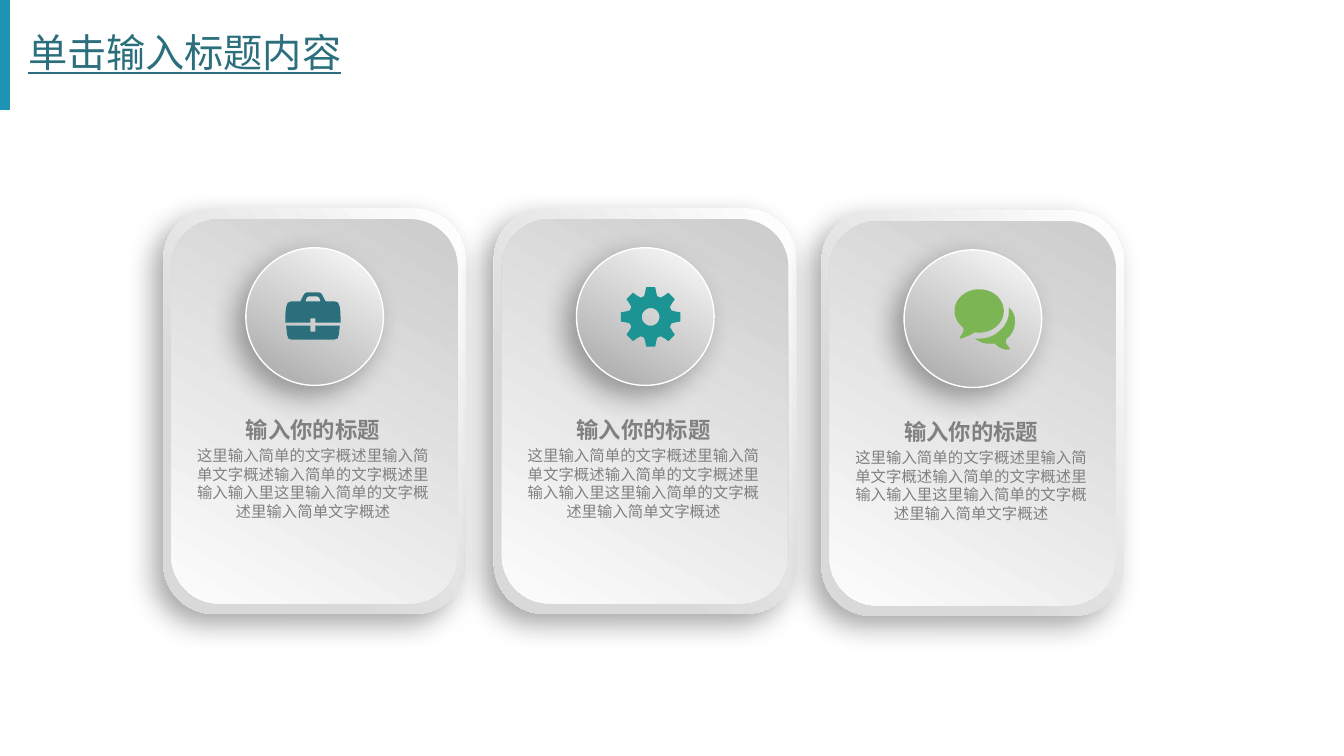
from math import cos, pi, radians, sin

from lxml.etree import SubElement
from pptx import Presentation
from pptx.dml.color import RGBColor
from pptx.enum.shapes import MSO_SHAPE
from pptx.enum.text import MSO_ANCHOR, PP_ALIGN
from pptx.oxml.ns import qn
from pptx.util import Pt

COLORS = {
    "bar": "1D94B4", "title": "2B6F7D", "text": "808080", "white": "FFFFFF",
    "briefcase": "2B6F7D", "gear": "1C9494", "bubbles": "7CB554",
    "rim": "D9D9D9", "panel": "CCCCCC", "pale": "FCFCFC", "disc": "A6A6A6",
    "shadow": "000000",
}
RIM = [(0, "rim"), (1, "white"), (70, "rim")]
PANEL = [(0, "panel"), (100, "pale")]
DISC = [(0, "disc"), (100, "pale")]

HEADING = "输入你的标题"
BODY = ("这里输入简单的文字概述里输入简单文字概述输入简单的文字概述里"
        "输入输入里这里输入简单的文字概述里输入简单文字概述")


class SlideBuilder:
    latin_font = "Montserrat"
    chinese_font = "Noto Sans CJK SC"

    def __init__(self, page):
        self.page = page

    def color(self, name):
        return RGBColor.from_string(COLORS[name])

    def shape(self, kind, left, top, width, height, fill=None):
        shape = self.page.shapes.add_shape(
            kind, Pt(left), Pt(top), Pt(width), Pt(height))
        return self.plain(shape, fill)

    def plain(self, shape, fill):
        shape.shadow.inherit = False
        shape.line.fill.background()
        if fill:
            shape.fill.solid()
            shape.fill.fore_color.rgb = self.color(fill)
        return shape

    def gradient(self, shape, stops, angle):
        shape.fill.gradient()
        gradient = shape.element.spPr.find(qn("a:gradFill"))
        for child in list(gradient):
            gradient.remove(child)
        stop_list = SubElement(gradient, qn("a:gsLst"))
        for position, name in stops:
            stop = SubElement(stop_list, qn("a:gs"), pos=str(position * 1000))
            SubElement(stop, qn("a:srgbClr"), val=COLORS[name])
        SubElement(gradient, qn("a:lin"), ang=str(angle * 60000), scaled="0")

    def soft_shadow(self, shape):
        effects = shape.element.spPr.find(qn("a:effectLst"))
        shadow = SubElement(
            effects, qn("a:outerShdw"), blurRad=str(Pt(20)), dist=str(Pt(10)),
            dir=str(136 * 60000), algn="ctr", rotWithShape="0")
        tint = SubElement(shadow, qn("a:srgbClr"), val=COLORS["shadow"])
        SubElement(tint, qn("a:alpha"), val="34000")

    def outline(self, left, top, contours, fill):
        contours = [[(Pt(left + x), Pt(top + y)) for x, y in contour]
                    for contour in contours]
        builder = self.page.shapes.build_freeform(*contours[0][0], scale=1.0)
        builder.add_line_segments(contours[0][1:], close=True)
        for contour in contours[1:]:
            builder.move_to(*contour[0])
            builder.add_line_segments(contour[1:], close=True)
        self.plain(builder.convert_to_shape(), fill)

    def text_box(self, left, top, width, height, inset_x, inset_y):
        box = self.page.shapes.add_textbox(
            Pt(left), Pt(top), Pt(width), Pt(height))
        frame = box.text_frame
        frame.word_wrap = True
        frame.margin_left = frame.margin_right = Pt(inset_x)
        frame.margin_top = frame.margin_bottom = Pt(inset_y)
        return frame

    def span(self, para, text, size, color, font, bold=False, underline=False):
        span = para.add_run()
        span.text = text
        span.font.size = Pt(size)
        span.font.bold = bold
        span.font.underline = underline
        span.font.color.rgb = self.color(color)
        span.font.name = font
        SubElement(span.font._element, qn("a:ea"), typeface=self.chinese_font)

    def title(self, text):
        frame = self.text_box(12.96, 14.4, 828, 48.96, 7.2, 3.6)
        frame.vertical_anchor = MSO_ANCHOR.MIDDLE
        para = frame.paragraphs[0]
        para.line_spacing = 0.9
        self.span(para, text, 28, "title", self.latin_font, underline=True)

    def card(self, left, top):
        rim = self.shape(MSO_SHAPE.ROUNDED_RECTANGLE, left, top, 216, 289.5)
        self.gradient(rim, RIM, 140)
        self.soft_shadow(rim)
        panel = self.shape(MSO_SHAPE.ROUNDED_RECTANGLE,
                           left + 5.76, top + 7.6, 204.5, 274.5)
        self.gradient(panel, PANEL, 120)
        disc = self.shape(MSO_SHAPE.OVAL, left + 59, top + 28, 98.3, 98.3)
        self.gradient(disc, DISC, 300)
        disc.line.color.rgb = self.color("white")
        disc.line.width = Pt(1)
        self.soft_shadow(disc)

        frame = self.text_box(left + 11.5, top + 143.3, 190.8, 94.3, 9.4, 5)
        heading = frame.paragraphs[0]
        body = frame.add_paragraph()
        body.space_before = Pt(2.2)
        heading.alignment = body.alignment = PP_ALIGN.CENTER
        font = self.chinese_font
        self.span(heading, HEADING, 16, "text", font, bold=True)
        self.span(body, BODY, 11, "text", font)


def mirrored(half, axis):
    return half + [(2 * axis - x, y) for x, y in reversed(half)]


def arc(center_x, center_y, radius_x, radius_y, start, end, step=6):
    return [(center_x + radius_x * cos(radians(angle)),
             center_y + radius_y * sin(radians(angle)))
            for angle in range(start, end + 1, step)]


def briefcase():
    lid = [(21.6, 18.7), (21.6, 21.6), (39.6, 21.6), (39.4, 14), (38.9, 10.3),
           (37.8, 7.4), (35.3, 6.5), (28.8, 6.5), (26.6, 2.2), (25.5, 0.6),
           (23.8, 0)]
    handle = [(25.2, 6.5), (24.5, 4.3), (23.8, 3.3), (22.3, 2.9)]
    base = [(21.6, 28.1), (21.6, 23.8), (39, 23.8), (38.3, 30.2), (37.4, 33),
            (34.6, 33.9)]
    return [mirrored(half, 19.8) for half in (lid, handle, base)]


def gear(teeth=8):
    half = [(14.8, -4.7), (18, -3.8), (20.8, -3.4), (21.2, -3)]
    tooth = half + [(x, -y) for x, y in reversed(half)]
    rim = []
    for turn in (2 * pi * number / teeth for number in range(teeth)):
        rim += [(x * cos(turn) - y * sin(turn), x * sin(turn) + y * cos(turn))
                for x, y in tooth]
    return [rim, arc(0, 0, 6.3, 6.3, 0, 354)]


def bubbles():
    front = arc(17.6, 15.5, 17.6, 15.5, 130, 460) + [
        (11, 32.8), (6.5, 34.6), (4.3, 35.3), (3.6, 34.6), (5.4, 32),
        (6.5, 29.5)]
    back = [(38.9, 13), (41, 15.3), (42.5, 18), (43.2, 20.8), (43.2, 23.8),
            (42.8, 27), (41.6, 30.2), (39.5, 33.4), (36.7, 36), (36.7, 38.2),
            (37.4, 39.6), (39.2, 41.8), (39.6, 42.5), (38.9, 43.2),
            (36.7, 43.2), (32.4, 41.8), (28.8, 38.9), (25.9, 38.9),
            (22.5, 38.8), (19.4, 38), (14.4, 35.3), (17.3, 35.3), (21.6, 35),
            (25.9, 33.8), (29.4, 32), (32.4, 29.5), (35.3, 26.5), (37.4, 23),
            (38.5, 19.4), (38.9, 15.1)]
    return [front, back]


def main():
    deck = Presentation()
    deck.slide_width, deck.slide_height = Pt(960), Pt(540)
    builder = SlideBuilder(deck.slides.add_slide(deck.slide_layouts[6]))

    # Heading
    builder.shape(MSO_SHAPE.RECTANGLE, 0, 0, 7, 78.5, "bar")
    builder.title("单击输入标题内容")

    # Cards
    for left, top in ((116.64, 149), (352.8, 149), (586.8, 150.5)):
        builder.card(left, top)

    # Icons
    builder.outline(203.76, 208.8, briefcase(), "briefcase")
    builder.outline(464.8, 226.4, gear(), "gear")
    builder.outline(681.84, 206.64, bubbles(), "bubbles")

    deck.save("out.pptx")


if __name__ == "__main__":
    main()
